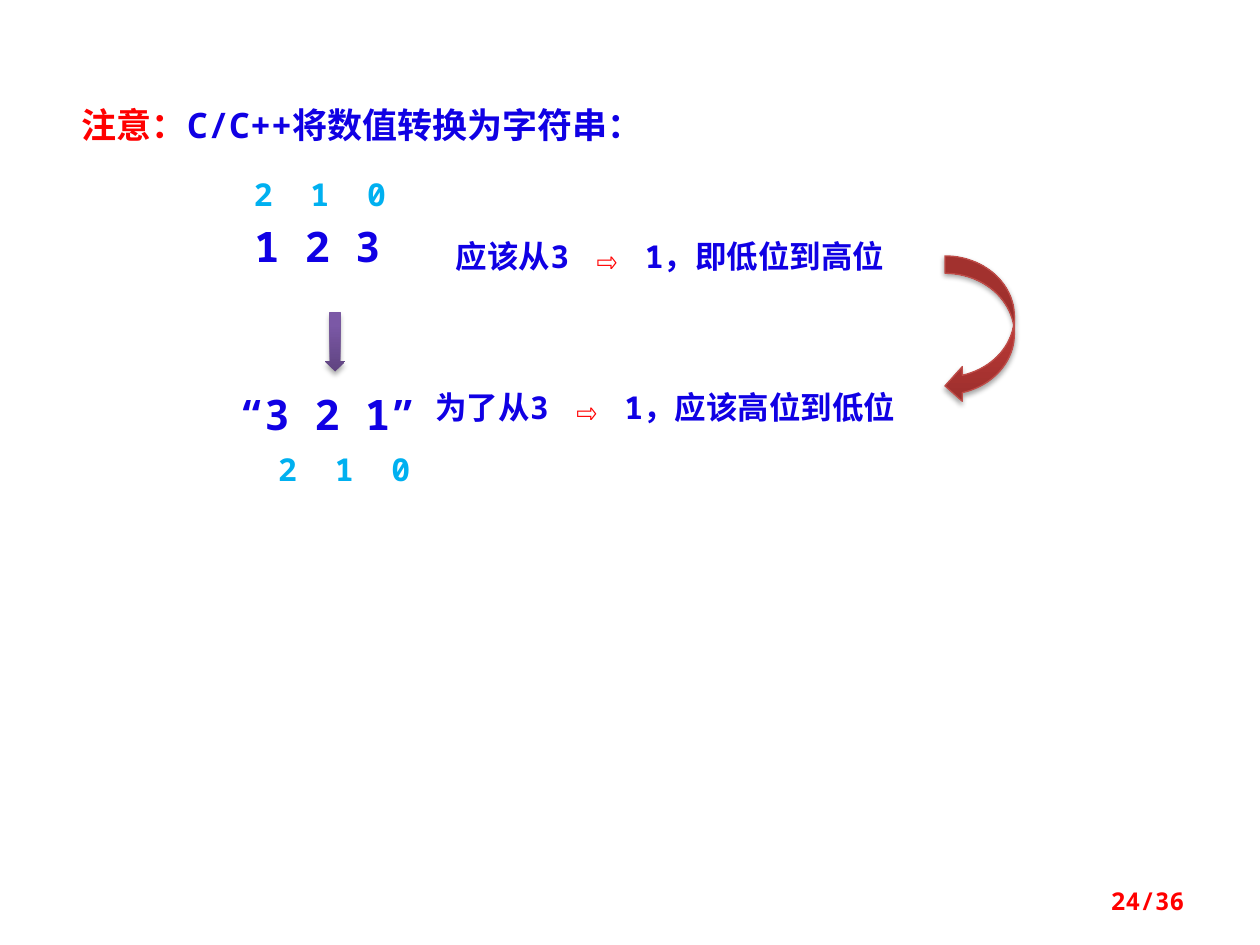
from lxml.etree import SubElement as Sub
from pptx import Presentation
from pptx.dml.color import RGBColor
from pptx.enum.shapes import MSO_SHAPE as Shape
from pptx.enum.text import MSO_ANCHOR as Anchor, PP_ALIGN as Align
from pptx.oxml.ns import qn
from pptx.util import Cm, Pt

FONT = "Noto Sans Mono"
BLUE, RED, CYAN = "1000E4", "FF0000", "00B0F0"
PURPLE = ("5F4480", "7B58A6", "7C57A8")
BRICK = ("9C2F2D", "CB3E3A", "CE3B37")


def rgb(code):
    """Turn a hex string into a colour."""
    return RGBColor.from_string(code)


def write(slide, box, size, runs, align=None, top=0.13, anchor=Anchor.TOP):
    """Add a bold text box made of (text, colour) runs."""
    frame = slide.shapes.add_textbox(*map(Cm, box)).text_frame
    frame.word_wrap = True
    frame.margin_top = Cm(top)
    frame.vertical_anchor = anchor
    para = frame.paragraphs[0]
    para.alignment = align
    for text, color in runs:
        run = para.add_run()
        run.text = text
        font = run.font
        font.name, font.size, font.bold = FONT, Pt(size), True
        font.color.rgb = rgb(color)
        Sub(font._element, qn("a:ea"), typeface=FONT)
    return para


def arrow(slide, kind, box, shades, edge=None):
    """Add a block arrow with an upward gradient and a soft shadow."""
    item = slide.shapes.add_shape(kind, *map(Cm, box))
    if edge:
        item.line.color.rgb = rgb(edge)
        item.line.width = Pt(0.75)
    else:
        item.line.fill.background()
    item.fill.gradient()
    grad = item._element.spPr.find(qn("a:gradFill"))
    for child in list(grad):
        grad.remove(child)
    stops = Sub(grad, qn("a:gsLst"))
    for pos, shade in zip((0, 80, 100), shades):
        stop = Sub(stops, qn("a:gs"), pos=str(pos * 1000))
        Sub(stop, qn("a:srgbClr"), val=shade)
    Sub(grad, qn("a:lin"), ang=str(270 * 60000), scaled="0")
    item.shadow.inherit = False
    effects = item._element.spPr.find(qn("a:effectLst"))
    glow = Sub(effects, qn("a:outerShdw"), blurRad=str(Pt(3.1)),
               dist=str(Pt(1.8)), dir=str(90 * 60000), rotWithShape="0")
    tint = Sub(glow, qn("a:srgbClr"), val="000000")
    Sub(tint, qn("a:alpha"), val="35000")


def index(slide, box):
    """Add the row of digit positions on even tab stops."""
    para = write(slide, box, 18, [("2\t1\t0", CYAN)])
    tabs = Sub(para._p.get_or_add_pPr(), qn("a:tabLst"))
    for step in (1, 2):
        Sub(tabs, qn("a:tab"), pos=str(Cm(1.14 * step)), algn="l")


def title(slide, box):
    """Add the heading line."""
    runs = [("注意：", RED), ("C/C++将数值转换为字符串：", BLUE)]
    write(slide, box, 20, runs, Align.JUSTIFY, top=0.3)


def digits(slide, x, y):
    """Add the number, the arrow down and the resulting string."""
    index(slide, (x + 0.5, y, 3.38, 1.02))
    write(slide, (x, y + 0.92, 4.37, 1.27), 24, [(" 1 2 3", BLUE)])
    arrow(slide, Shape.DOWN_ARROW, (x + 2.18, y + 2.9, 0.41, 1.19), PURPLE)
    write(slide, (x + 0.2, y + 4.3, 4.17, 1.27), 24, [("“3 2 1”", BLUE)])
    index(slide, (x + 0.99, y + 5.54, 3.38, 1.02))


def notes(slide, x, y):
    """Add the two remarks and the curved arrow that joins them."""
    rows = [(0.41, 0, 10.11, "应该从3 ", "1，即低位到高位"),
            (0, 3.05, 10.72, "为了从3 ", "1，应该高位到低位")]
    for dx, dy, wide, start, end in rows:
        runs = [(start, BLUE), ("⇨ ", RED), (end, BLUE)]
        write(slide, (x + dx, y + dy, wide, 1.02), 18, runs)
    arrow(slide, Shape.CURVED_LEFT_ARROW, (x + 10.52, y + 0.51, 1.4, 2.97),
          BRICK, "BF4C48")


def footer(slide, box):
    """Add the page number."""
    write(slide, box, 14, [("24/36", RED)], Align.RIGHT, anchor=Anchor.MIDDLE)


def main():
    """Build the slide and save it."""
    deck = Presentation()
    deck.slide_width, deck.slide_height = Cm(25.4), Cm(19.05)
    slide = deck.slides.add_slide(deck.slide_layouts[6])
    title(slide, (1.4, 1.78, 14.3, 1.3))
    digits(slide, 4.37, 3.4)
    notes(slide, 8.53, 4.65)
    footer(slide, (18.21, 17.65, 5.92, 1.02))
    deck.save("out.pptx")


if __name__ == "__main__":
    main()
